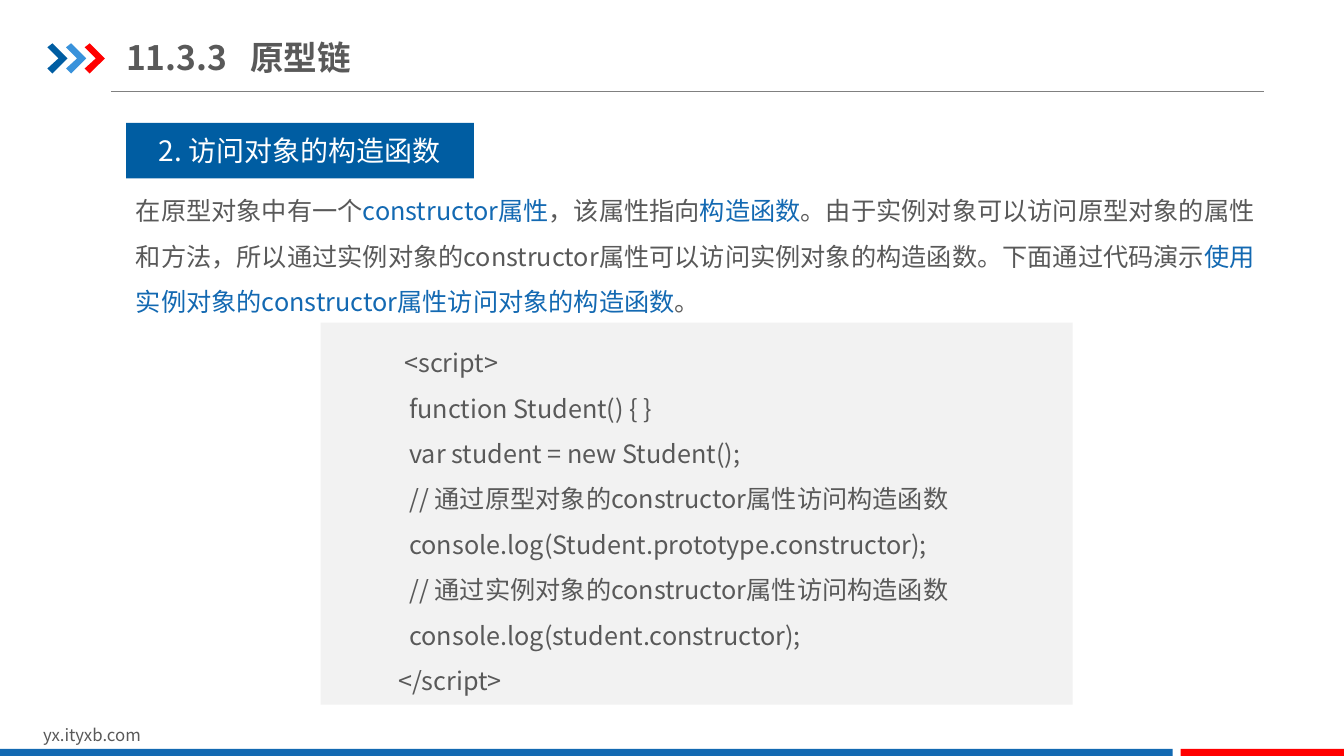
from lxml import etree
from pptx import Presentation
from pptx.dml.color import RGBColor
from pptx.enum.shapes import MSO_CONNECTOR, MSO_SHAPE
from pptx.enum.text import MSO_ANCHOR, MSO_AUTO_SIZE, PP_ALIGN
from pptx.oxml.ns import qn
from pptx.util import Inches, Pt

RECTANGLE = MSO_SHAPE.RECTANGLE
STRAIGHT = MSO_CONNECTOR.STRAIGHT
TOP, MIDDLE = MSO_ANCHOR.TOP, MSO_ANCHOR.MIDDLE
LEFT, CENTER = PP_ALIGN.LEFT, PP_ALIGN.CENTER
NO_FIT = MSO_AUTO_SIZE.NONE

FONT = "Noto Sans CJK SC"
NAVY = RGBColor(0x00, 0x5D, 0xA2)
SKY = RGBColor(0x39, 0x92, 0xDB)
BLUE = RGBColor(0x13, 0x69, 0xB2)
RED = RGBColor(0xFF, 0x00, 0x00)
GRAY = RGBColor(0x59, 0x59, 0x59)
RULE_GRAY = RGBColor(0x80, 0x80, 0x80)
PALE = RGBColor(0xF2, 0xF2, 0xF2)
WHITE = RGBColor(0xFF, 0xFF, 0xFF)

WIDTH, HEIGHT = 13.33, 7.5
MARGIN = 1.25
FOOTER_TOP = 7.43
CHEVRON_STEP = 0.185
CHEVRON = [(0, 0.04), (0.05, 0), (0.2, 0.15), (0.05, 0.3), (0, 0.25), (0.11, 0.15)]

EXPLANATION = [
    ("在原型对象中有一个", {}),
    ("constructor属性", {"color": BLUE}),
    ("，该属性指向", {}),
    ("构造函数", {"color": BLUE}),
    ("。由于实例对象可以访问原型对象的属性和方法，所以通过实例对象的constructor属性"
     "可以访问实例对象的构造函数。下面通过代码演示", {}),
    ("使用实例对象的constructor属性访问对象的构造函数", {"color": BLUE}),
    ("。", {}),
]
CODE = [
    [("\N{NO-BREAK SPACE}", {"size": 20}), ("<script>", {})],
    "\N{NO-BREAK SPACE} function Student() { }",
    "\N{NO-BREAK SPACE} var student = new Student();",
    "\N{NO-BREAK SPACE} // 通过原型对象的constructor属性访问构造函数",
    "\N{NO-BREAK SPACE} console.log(Student.prototype.constructor);",
    "\N{NO-BREAK SPACE} // 通过实例对象的constructor属性访问构造函数",
    "\N{NO-BREAK SPACE} console.log(student.constructor);",
    "</script>",
]


def style_run(run, size=18, color=GRAY, bold=False):
    run.font.size = Pt(size)
    run.font.bold = bold
    run.font.color.rgb = color
    run.font.name = FONT
    east_asian = etree.SubElement(run.font._element, qn("a:ea"))
    east_asian.set("typeface", FONT)


def write(shape, paragraphs, anchor=TOP, align=LEFT, spacing=1.0, indent=0,
          tab=None, insets=(0.1, 0.05), **run_format):
    frame = shape.text_frame
    frame.word_wrap = True
    frame.auto_size = NO_FIT
    frame.vertical_anchor = anchor
    frame.margin_left = frame.margin_right = Inches(insets[0])
    frame.margin_top = frame.margin_bottom = Inches(insets[1])
    for index, runs in enumerate(paragraphs):
        paragraph = frame.paragraphs[0] if index == 0 else frame.add_paragraph()
        paragraph.alignment = align
        paragraph.line_spacing = spacing
        properties = paragraph._p.get_or_add_pPr()
        if indent:
            paragraph.level = 1
            properties.set("marL", str(Inches(indent)))
            properties.set("indent", "0")
        if tab:
            stops = etree.SubElement(properties, qn("a:tabLst"))
            etree.SubElement(stops, qn("a:tab"), pos=str(Inches(tab)), algn="l")
        if isinstance(runs, str):
            runs = [(runs, {})]
        for text, changes in runs:
            run = paragraph.add_run()
            run.text = text
            style_run(run, **{**run_format, **changes})


def paint(shape, color):
    shape.shadow.inherit = False
    shape.fill.solid()
    shape.fill.fore_color.rgb = color
    shape.line.fill.background()
    return shape


def add_block(slide, left, top, width, height, color):
    box = [Inches(length) for length in (left, top, width, height)]
    return paint(slide.shapes.add_shape(RECTANGLE, *box), color)


def add_text(slide, left, top, width, height, paragraphs, **text_format):
    box = [Inches(length) for length in (left, top, width, height)]
    write(slide.shapes.add_textbox(*box), paragraphs, **text_format)


def add_chevron(slide, left, top, color):
    points = [(Inches(left + x), Inches(top + y)) for x, y in CHEVRON]
    builder = slide.shapes.build_freeform(*points[0])
    builder.add_line_segments(points[1:], close=True)
    paint(builder.convert_to_shape(), color)


def add_rule(slide, left, right, top):
    rule = slide.shapes.add_connector(
        STRAIGHT, Inches(left), Inches(top), Inches(right), Inches(top))
    rule.line.color.rgb = RULE_GRAY
    rule.line.width = Pt(0.75)
    etree.SubElement(rule._element.spPr, qn("a:effectLst"))


def set_title(slide, text):
    title = slide.shapes.title
    title.left, title.top = Inches(MARGIN), Inches(0.29)
    title.width, title.height = Inches(4.26), Inches(0.55)
    write(title, [text], anchor=MIDDLE, insets=(0, 0.07), tab=1.23, size=24, bold=True)


def main():
    presentation = Presentation()
    presentation.slide_width = Inches(WIDTH)
    presentation.slide_height = Inches(HEIGHT)
    slide = presentation.slides.add_slide(presentation.slide_layouts[5])

    add_rule(slide, 1.1, 12.54, 0.91)
    for index, color in enumerate((NAVY, SKY, RED)):
        add_chevron(slide, 0.47 + index * CHEVRON_STEP, 0.43, color)
    set_title(slide, "11.3.3\t原型链")

    add_text(slide, 0.33, 7.14, 3.18, 0.3, ["yx.ityxb.com"], size=12)
    add_block(slide, 0, FOOTER_TOP, 11.63, HEIGHT - FOOTER_TOP, BLUE)
    add_block(slide, 11.71, FOOTER_TOP, WIDTH - 11.71, HEIGHT - FOOTER_TOP, RED)

    heading = add_block(slide, MARGIN, 1.22, 3.45, 0.55, NAVY)
    write(heading, ["2. 访问对象的构造函数"], anchor=MIDDLE, align=CENTER,
          size=20, color=WHITE)
    add_text(slide, MARGIN, 1.74, 11.32, 1.46, [EXPLANATION], spacing=1.5)
    code_panel = add_block(slide, 3.18, 3.2, 7.46, 3.79, PALE)
    write(code_panel, CODE, spacing=1.5, indent=0.67)

    presentation.save("out.pptx")


if __name__ == "__main__":
    main()
